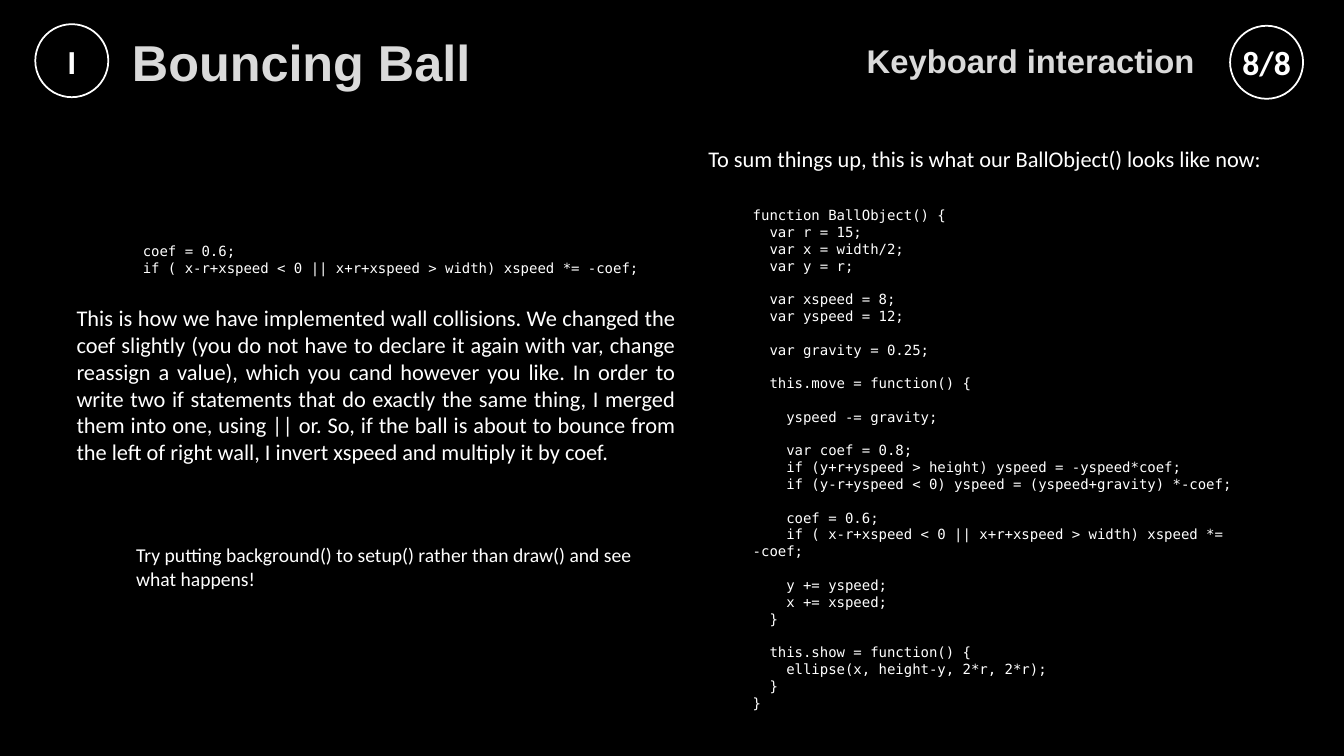
from dataclasses import dataclass
from typing import NamedTuple

from pptx import Presentation
from pptx.dml.color import RGBColor
from pptx.enum.shapes import MSO_SHAPE
from pptx.enum.text import MSO_ANCHOR, MSO_AUTO_SIZE, PP_ALIGN
from pptx.util import Cm, Pt


@dataclass(frozen=True)
class Theme:
    background: RGBColor = RGBColor(0x00, 0x00, 0x00)
    text: RGBColor = RGBColor(0xFF, 0xFF, 0xFF)
    heading: RGBColor = RGBColor(0xDA, 0xDA, 0xDA)
    heading_font: str = "Arial"
    body_font: str = "Calibri"
    code_font: str = "DejaVu Sans Mono"
    title_size: float = 36
    subtitle_size: float = 23.4
    badge_size: float = 24
    body_size: float = 16
    hint_size: float = 14
    code_size: float = 10
    code_line: float = 12


class Box(NamedTuple):
    """A rectangle in centimetres."""
    left: float
    top: float
    width: float
    height: float

    def inner(self, left, top, width, height):
        return Box(self.left + left, self.top + top, width, height)

    def lengths(self):
        return [Cm(value) for value in self]


THEME = Theme()
HEADER = Box(0.89, 0.61, 31.95, 1.88)
LEFT_COLUMN = Box(1.68, 5.99, 15.6, 9.02)
RIGHT_COLUMN = Box(17.6, 3.53, 15.42, 14.2)

COLLISION_CODE = """coef = 0.6;
if ( x-r+xspeed < 0 || x+r+xspeed > width) xspeed *= -coef;"""
COLLISION_TEXT = (
    "This is how we have implemented wall collisions. We changed the coef slightly "
    "(you do not have to declare it again with var, change reassign a value), which "
    "you cand however you like. In order to write two if statements that do exactly "
    "the same thing, I merged them into one, using || or. So, if the ball is about "
    "to bounce from the left of right wall, I invert xspeed and multiply it by coef."
)
HINT = "Try putting background() to setup() rather than draw() and see what happens!"
SUMMARY = "To sum things up, this is what our BallObject() looks like now:"
BALL_CODE = """function BallObject() {
  var r = 15;
  var x = width/2;
  var y = r;

  var xspeed = 8;
  var yspeed = 12;

  var gravity = 0.25;

  this.move = function() {

    yspeed -= gravity;

    var coef = 0.8;
    if (y+r+yspeed > height) yspeed = -yspeed*coef;
    if (y-r+yspeed < 0) yspeed = (yspeed+gravity) *-coef;

    coef = 0.6;
    if ( x-r+xspeed < 0 || x+r+xspeed > width) xspeed *= -coef;

    y += yspeed;
    x += xspeed;
  }

  this.show = function() {
    ellipse(x, height-y, 2*r, 2*r);
  }
}"""


def add_run(paragraph, text, font_name, size, color=THEME.text, bold=False):
    run = paragraph.add_run()
    run.text = text
    run.font.name = font_name
    run.font.size = Pt(size)
    run.font.color.rgb = color
    run.font.bold = bold


def add_text_box(slide, box):
    shape = slide.shapes.add_textbox(*box.lengths())
    shape.text_frame.word_wrap = True
    shape.text_frame.auto_size = MSO_AUTO_SIZE.SHAPE_TO_FIT_TEXT
    return shape


def add_body_text(slide, box, text, size):
    paragraph = add_text_box(slide, box).text_frame.paragraphs[0]
    paragraph.alignment = PP_ALIGN.JUSTIFY
    add_run(paragraph, text, THEME.body_font, size)


def add_code(slide, box, code):
    """Writes one paragraph per code line; an empty line becomes space before the next."""
    frame = add_text_box(slide, box).text_frame
    paragraph = frame.paragraphs[0]
    for block_index, block in enumerate(code.split("\n\n")):
        for line_index, line in enumerate(block.split("\n")):
            if block_index or line_index:
                paragraph = frame.add_paragraph()
            if block_index and line_index == 0:
                paragraph.space_before = Pt(THEME.code_line)
            add_run(paragraph, line, THEME.code_font, THEME.code_size)


def add_badge(slide, box, label):
    badge = slide.shapes.add_shape(MSO_SHAPE.OVAL, *box.lengths())
    badge.shadow.inherit = False
    badge.fill.background()
    badge.line.color.rgb = THEME.text
    badge.line.width = Pt(1.25)
    frame = badge.text_frame
    frame.margin_left = frame.margin_right = frame.margin_top = frame.margin_bottom = 0
    frame.vertical_anchor = MSO_ANCHOR.MIDDLE
    frame.word_wrap = False
    paragraph = frame.paragraphs[0]
    paragraph.alignment = PP_ALIGN.CENTER
    add_run(paragraph, label, THEME.body_font, THEME.badge_size, bold=True)


def fill_heading(shape, box, text, size, alignment):
    shape.left, shape.top, shape.width, shape.height = box.lengths()
    frame = shape.text_frame
    frame.word_wrap = True
    frame.auto_size = MSO_AUTO_SIZE.NONE
    frame.vertical_anchor = MSO_ANCHOR.MIDDLE
    paragraph = frame.paragraphs[0]
    paragraph.alignment = alignment
    add_run(paragraph, text, THEME.heading_font, size, THEME.heading, bold=True)


def add_header(slide, box):
    diameter = 1.84
    add_badge(slide, box.inner(0, 0, diameter, diameter), "I")
    add_badge(slide, box.inner(box.width - diameter, 0.04, diameter, diameter), "8/8")
    fill_heading(slide.shapes.title, box.inner(2.18, 0.25, 26.21, 1.35),
                 "Bouncing Ball", THEME.title_size, PP_ALIGN.LEFT)
    subtitle_box = box.inner(17.42, -0.2, 12.04, 2.24)
    fill_heading(add_text_box(slide, subtitle_box), subtitle_box,
                 "Keyboard interaction", THEME.subtitle_size, PP_ALIGN.RIGHT)


def add_collision_column(slide, box):
    add_code(slide, box.inner(1.67, 0, 13.69, 1.12), COLLISION_CODE)
    add_body_text(slide, box.inner(0, 1.55, box.width, 4.37), COLLISION_TEXT, THEME.body_size)
    add_body_text(slide, box.inner(1.5, 7.57, 13, 1.45), HINT, THEME.hint_size)


def add_summary_column(slide, box):
    add_body_text(slide, box.inner(0, 0, box.width, 0.94), SUMMARY, THEME.body_size)
    add_code(slide, box.inner(1.12, 1.55, 12.8, 12.65), BALL_CODE)


def main():
    presentation = Presentation()
    presentation.slide_width = Cm(33.87)
    presentation.slide_height = Cm(19.05)
    slide = presentation.slides.add_slide(presentation.slide_layouts.get_by_name("Title Only"))
    slide.background.fill.solid()
    slide.background.fill.fore_color.rgb = THEME.background
    add_header(slide, HEADER)
    add_collision_column(slide, LEFT_COLUMN)
    add_summary_column(slide, RIGHT_COLUMN)
    presentation.save("out.pptx")


if __name__ == "__main__":
    main()
